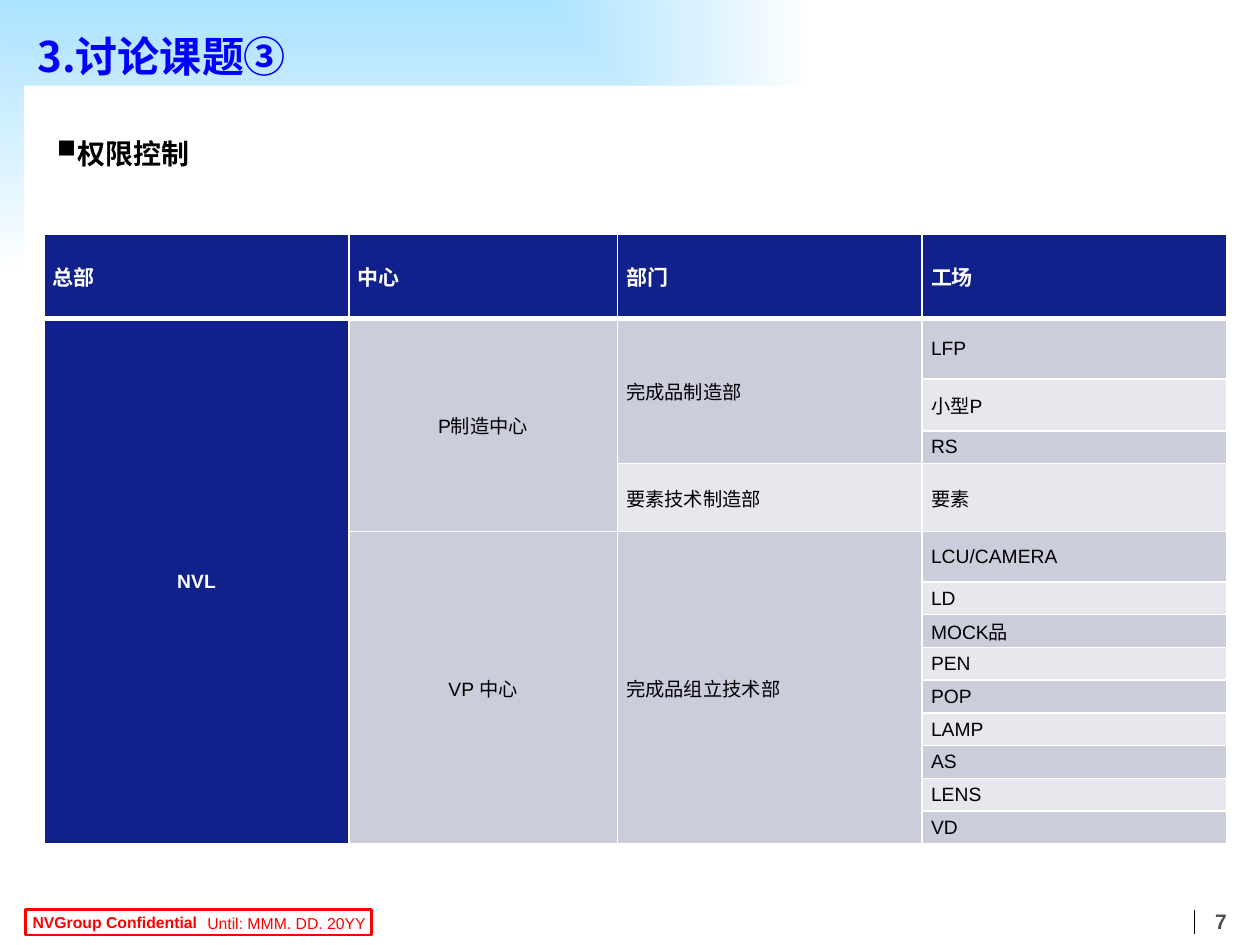
import dataclasses
import itertools
import typing

import lxml.etree
import pptx
import pptx.dml.color
import pptx.enum.shapes
import pptx.enum.text
import pptx.oxml
import pptx.oxml.ns
import pptx.util

RGB = pptx.dml.color.RGBColor
ALIGN = pptx.enum.text.PP_ALIGN
ANCHOR = pptx.enum.text.MSO_ANCHOR
WHITE = RGB(0xFF, 0xFF, 0xFF)
BLACK = RGB(0, 0, 0)
RED = RGB(0xFF, 0, 0)
BLUE = RGB(0, 0, 0xFF)
GREY = RGB(0x4D, 0x4D, 0x4D)
NAVY = RGB(0x10, 0x21, 0x8B)
DARK_BAND = RGB(0xCC, 0xCD, 0xDA)
LIGHT_BAND = RGB(0xE7, 0xE8, 0xEE)
SKY = RGB(0x66, 0xCC, 0xFF)

LATIN, CHINESE = "Arial", "Noto Sans CJK SC"
SLIDE_WIDTH, SLIDE_HEIGHT = pptx.util.Inches(10), pptx.util.Inches(7.5)
GRID_COLUMNS, GRID_ROWS = 1000, 750
COLUMN_WIDTHS = (242, 213, 242, 242)
ROW_HEIGHTS = (67, 48, 41, 26, 54, 40) + (26,) * 8
HEADINGS = ("总部", "中心", "部门", "工场")
FACTORIES = ("LFP", "小型P", "RS", "要素", "LCU/CAMERA", "LD", "MOCK品",
             "PEN", "POP", "LAMP", "AS", "LENS", "VD")


@dataclasses.dataclass(frozen=True)
class Area:
    """A place on the slide grid."""
    left: float
    top: float
    width: float
    height: float

    def lengths(self) -> tuple[int, int, int, int]:
        """Return the place as slide lengths."""
        return across(self.left), down(self.top), across(self.width), down(self.height)


@dataclasses.dataclass(frozen=True)
class Style:
    """The look of a piece of text."""
    size: float
    color: RGB
    bold: bool = False
    latin: str = LATIN


@dataclasses.dataclass(frozen=True)
class Label:
    """A text box with one paragraph."""
    area: Area
    text: str
    style: Style
    align: ALIGN = ALIGN.LEFT
    anchor: ANCHOR = ANCHOR.MIDDLE
    wrap: bool = True


@dataclasses.dataclass(frozen=True)
class Entry:
    """A table cell that may span several rows."""
    row: int
    column: int
    text: str
    style: Style
    fill: RGB
    rows: int = 1
    align: ALIGN = ALIGN.LEFT


HEADER = Style(12, WHITE, True)
OFFICE = Style(11, WHITE, True)
BODY = Style(11, BLACK)
BULLET = Style(24, BLACK, True, CHINESE)
SUBJECT = Style(16, BLACK, True, CHINESE)

LABELS = (
    Label(Area(941, 716, 56, 24), "7", Style(12, GREY, True), ALIGN.CENTER, ANCHOR.TOP),
    Label(Area(131, 720, 169, 25), "Until: MMM. DD. 20YY", Style(9, RED), ALIGN.RIGHT),
    Label(Area(16, 719, 168, 25), "NVGroup Confidential", Style(9, RED, True)),
    Label(Area(20, 19, 807, 50), "3.讨论课题③", Style(24, BLUE, True, CHINESE)),
)
SPANS = (
    Entry(1, 0, "NVL", OFFICE, NAVY, 13, ALIGN.CENTER),
    Entry(1, 1, "P制造中心", BODY, DARK_BAND, 4, ALIGN.CENTER),
    Entry(5, 1, "VP 中心", BODY, DARK_BAND, 9, ALIGN.CENTER),
    Entry(1, 2, "完成品制造部", BODY, DARK_BAND, 3),
    Entry(4, 2, "要素技术制造部", BODY, LIGHT_BAND),
    Entry(5, 2, "完成品组立技术部", BODY, DARK_BAND, 9),
)


def across(columns: float) -> int:
    """Turn grid columns into a length."""
    return round(SLIDE_WIDTH * columns / GRID_COLUMNS)


def down(rows: float) -> int:
    """Turn grid rows into a length."""
    return round(SLIDE_HEIGHT * rows / GRID_ROWS)


def format_span(span: typing.Any, style: Style) -> None:
    """Apply a style to a run, with a font for Chinese characters."""
    span.font.size = pptx.util.Pt(style.size)
    span.font.bold = style.bold
    span.font.color.rgb = style.color
    span.font.name = style.latin
    east = lxml.etree.SubElement(span.font._element, pptx.oxml.ns.qn("a:ea"))
    east.set("typeface", CHINESE)


def add_panel(page: typing.Any, area: Area, outline: RGB | None = None) -> typing.Any:
    """Draw a white rectangle, outlined if asked."""
    panel = page.shapes.add_shape(pptx.enum.shapes.MSO_SHAPE.RECTANGLE, *area.lengths())
    panel.shadow.inherit = False
    panel.fill.solid()
    panel.fill.fore_color.rgb = WHITE
    if outline is None:
        panel.line.fill.background()
    else:
        panel.line.color.rgb = outline
        panel.line.width = pptx.util.Pt(1.5)
    return panel


def fade_from_corner(panel: typing.Any) -> None:
    """Fill a panel with a gradient from its top left corner."""
    stops = "".join(
        f'<a:gs pos="{place}"><a:srgbClr val="{color}"><a:alpha val="92000"/></a:srgbClr></a:gs>'
        for place, color in ((0, SKY), (100000, WHITE)))
    gradient = pptx.oxml.parse_xml(
        f'<a:gradFill {pptx.oxml.ns.nsdecls("a")} rotWithShape="1"><a:gsLst>{stops}</a:gsLst>'
        '<a:path path="rect"><a:fillToRect r="100000" b="100000"/></a:path></a:gradFill>')
    properties = panel._element.spPr
    properties.replace(properties.find(pptx.oxml.ns.qn("a:solidFill")), gradient)


def add_label(page: typing.Any, label: Label) -> typing.Any:
    """Add a text box and return its paragraph."""
    box = page.shapes.add_textbox(*label.area.lengths())
    box.text_frame.word_wrap = label.wrap
    box.text_frame.vertical_anchor = label.anchor
    box.text_frame.text = label.text
    para = box.text_frame.paragraphs[0]
    para.alignment = label.align
    format_span(para.runs[0], label.style)
    return para


def add_divider(page: typing.Any, column: float, top: float, bottom: float) -> None:
    """Draw a thin upright line."""
    line = page.shapes.add_connector(
        pptx.enum.shapes.MSO_CONNECTOR.STRAIGHT,
        across(column), down(top), across(column), down(bottom))
    line.line.color.rgb = BLACK
    line.line.width = pptx.util.Pt(0.5)
    lxml.etree.SubElement(line._element.spPr, pptx.oxml.ns.qn("a:effectLst"))


def set_borders(cell: typing.Any, bottom: float) -> None:
    """Give a cell white borders with its own bottom width."""
    properties = cell._tc.get_or_add_tcPr()
    for index, (side, points) in enumerate(zip("LRTB", (1, 1, 1, bottom))):
        properties.insert(index, pptx.oxml.parse_xml(
            f'<a:ln{side} {pptx.oxml.ns.nsdecls("a")} w="{pptx.util.Pt(points)}">'
            f'<a:solidFill><a:srgbClr val="{WHITE}"/></a:solidFill></a:ln{side}>'))


def fill_entry(table: typing.Any, entry: Entry) -> None:
    """Merge, fill and write one entry."""
    cell = table.cell(entry.row, entry.column)
    if entry.rows > 1:
        cell.merge(table.cell(entry.row + entry.rows - 1, entry.column))
    cell.fill.solid()
    cell.fill.fore_color.rgb = entry.fill
    cell.vertical_anchor = ANCHOR.MIDDLE
    cell.margin_left = cell.margin_right = across(7)
    cell.margin_top = cell.margin_bottom = 0
    cell.text_frame.text = entry.text
    para = cell.text_frame.paragraphs[0]
    para.alignment = entry.align
    format_span(para.runs[0], entry.style)


def add_permissions(page: typing.Any) -> None:
    """Build the table of offices, centres, departments and factories."""
    area = Area(35, 186, sum(COLUMN_WIDTHS), sum(ROW_HEIGHTS))
    table = page.shapes.add_table(
        len(ROW_HEIGHTS), len(COLUMN_WIDTHS), *area.lengths()).table
    table.horz_banding = False
    for column, width in zip(table.columns, COLUMN_WIDTHS):
        column.width = across(width)
    for row, height in zip(table.rows, ROW_HEIGHTS):
        row.height = down(height)
    headings = (Entry(0, column, text, HEADER, NAVY) for column, text in enumerate(HEADINGS))
    bands = itertools.chain((DARK_BAND, LIGHT_BAND), itertools.cycle((DARK_BAND, LIGHT_BAND)))
    factories = (Entry(row, 3, text, BODY, band)
                 for row, (text, band) in enumerate(zip(FACTORIES, bands), 1))
    for entry in itertools.chain(headings, SPANS, factories):
        fill_entry(table, entry)
    for row, column in itertools.product(range(len(ROW_HEIGHTS)), range(len(COLUMN_WIDTHS))):
        set_borders(table.cell(row, column), 1 if row else 3)


def main() -> None:
    """Build the slide and save it."""
    deck = pptx.Presentation()
    deck.slide_width, deck.slide_height = SLIDE_WIDTH, SLIDE_HEIGHT
    page = deck.slides.add_slide(deck.slide_layouts[6])
    fade_from_corner(add_panel(page, Area(0, 0, 1000, 714)))
    add_panel(page, Area(19, 68, 981, 646))
    add_panel(page, Area(19, 714, 981, 36))
    add_panel(page, Area(20, 722, 275, 20), RED)
    add_divider(page, 948, 722, 741)
    for label in LABELS:
        add_label(page, label)
    add_permissions(page)
    subject = add_label(page, Label(
        Area(35, 92, 291, 50), "￭", BULLET, anchor=ANCHOR.TOP, wrap=False))
    span = subject.add_run()
    span.text = "权限控制"
    format_span(span, SUBJECT)
    deck.save("out.pptx")


if __name__ == "__main__":
    main()
